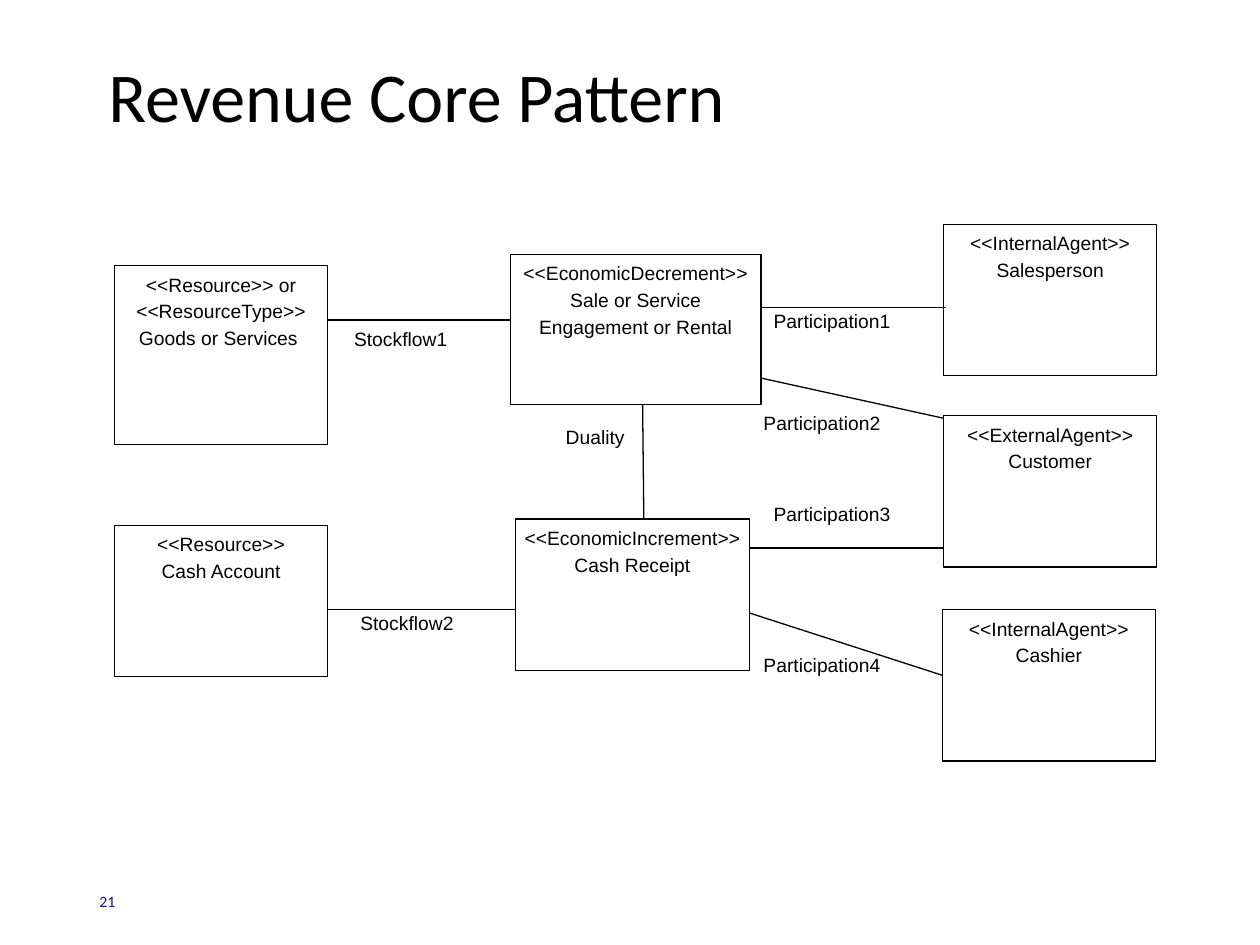
"""Build the Revenue Core Pattern slide: resources, events and agents joined by lines."""
from lxml.etree import SubElement
from pptx import Presentation
from pptx.dml.color import RGBColor
from pptx.enum.shapes import MSO_CONNECTOR, MSO_SHAPE
from pptx.enum.text import MSO_ANCHOR as Anchor, PP_ALIGN as Align
from pptx.oxml.ns import qn
from pptx.util import Inches, Pt

BLACK, WHITE, NAVY = "000000", "FFFFFF", "19138D"
BOX_WIDTH, BOX_HEIGHT = 1.69, 1.2
LABEL_HEIGHT = 0.58


def write_text(shape, text, name, size, color, paragraph_format, frame_format):
    frame = shape.text_frame
    for key, value in frame_format.items():
        setattr(frame, key, value)
    paragraph = frame.paragraphs[0]
    paragraph.text = text
    for key, value in paragraph_format.items():
        setattr(paragraph, key, value)
    for font in [paragraph.font] + [run.font for run in paragraph.runs]:
        font.name, font.size = name, Pt(size)
        font.color.rgb = RGBColor.from_string(color)


def place(shape, left, top, width, height):
    shape.left, shape.top = Inches(left), Inches(top)
    shape.width, shape.height = Inches(width), Inches(height)


presentation = Presentation()
presentation.slide_width, presentation.slide_height = Inches(10), Inches(7.5)
slide = presentation.slides.add_slide(presentation.slide_layouts[5])
shapes = slide.shapes

title = shapes.title
place(title, 0.76, 0.17, 8.74, 1.25)
write_text(title, "Revenue Core Pattern", "Calibri", 40, BLACK,
           {"alignment": Align.LEFT, "line_spacing": 0.9},
           {"vertical_anchor": Anchor.MIDDLE, "word_wrap": True})

number = shapes.add_textbox(Inches(0.69), Inches(6.95), Inches(2.25), Inches(0.4))
write_text(number, "21", "Calibri", 9, NAVY, {"alignment": Align.LEFT},
           {"vertical_anchor": Anchor.MIDDLE, "word_wrap": True})

labels = [
    ("Participation4", 6.03, 5.13, 1.66, LABEL_HEIGHT),
    ("Duality", 4.46, 3.32, 0.91, 0.77),
    ("Participation3", 6.11, 3.93, 1.66, LABEL_HEIGHT),
    ("Participation2", 6.03, 3.21, 1.66, LABEL_HEIGHT),
    ("Participation1", 6.11, 2.4, 1.66, LABEL_HEIGHT),
    ("Stockflow2", 2.83, 4.79, 1.31, LABEL_HEIGHT),
    ("Stockflow1", 2.78, 2.54, 1.31, LABEL_HEIGHT),
]
resources_and_agents = [
    ("<<Resource>> or <<ResourceType>>\nGoods or Services ", 0.91, 2.11, BOX_WIDTH, 1.42),
    ("<<Resource>>\nCash Account", 0.91, 4.17, BOX_WIDTH, BOX_HEIGHT),
    ("<<InternalAgent>>\nSalesperson", 7.49, 1.78, BOX_WIDTH, BOX_HEIGHT),
    ("<<InternalAgent>>\nCashier", 7.48, 4.84, BOX_WIDTH, BOX_HEIGHT),
    ("<<ExternalAgent>>\nCustomer", 7.49, 3.3, BOX_WIDTH, BOX_HEIGHT),
]
flows = [
    (2.6, 2.54, 4.17, 2.54),
    (2.6, 4.84, 4.17, 4.84),
    (5.9, 2.97, 7.49, 3.32),
    (5.89, 4.35, 7.49, 4.35),
    (5.87, 4.84, 7.48, 5.36),
    (5.85, 2.44, 7.51, 2.44),
]
events = [
    ("<<EconomicIncrement>>\nCash Receipt", 4.09, 4.12, 1.86, BOX_HEIGHT),
    ("<<EconomicDecrement>>\nSale or Service Engagement or Rental", 4.05, 2.02, 1.99, 1.19),
]
duality = [(5.1, 3.21, 5.11, 4.12)]

for boxes, lines, outlined in [
    (labels, [], False),
    (resources_and_agents, flows, True),
    (events, duality, True),
]:
    for text, *bounds in boxes:
        box = shapes.add_shape(MSO_SHAPE.RECTANGLE, *map(Inches, bounds))
        box.shadow.inherit = False
        box.fill.solid()
        box.fill.fore_color.rgb = RGBColor.from_string(WHITE)
        if outlined:
            box.line.color.rgb = RGBColor.from_string(BLACK)
            box.line.width = Pt(0.75)
        else:
            box.line.fill.background()
        margin = Inches(0.03)
        write_text(box, text, "Arial", 11, BLACK,
                   {"alignment": Align.CENTER if outlined else Align.LEFT,
                    "line_spacing": 1.15, "space_after": Pt(10)},
                   {"vertical_anchor": Anchor.TOP, "word_wrap": True,
                    "margin_left": margin, "margin_right": margin,
                    "margin_top": margin, "margin_bottom": margin})
    for ends in lines:
        line = shapes.add_connector(MSO_CONNECTOR.STRAIGHT, *map(Inches, ends))
        line.line.color.rgb = RGBColor.from_string(BLACK)
        line.line.width = Pt(0.75)
        SubElement(line._element.spPr, qn("a:effectLst"))

presentation.save("out.pptx")
